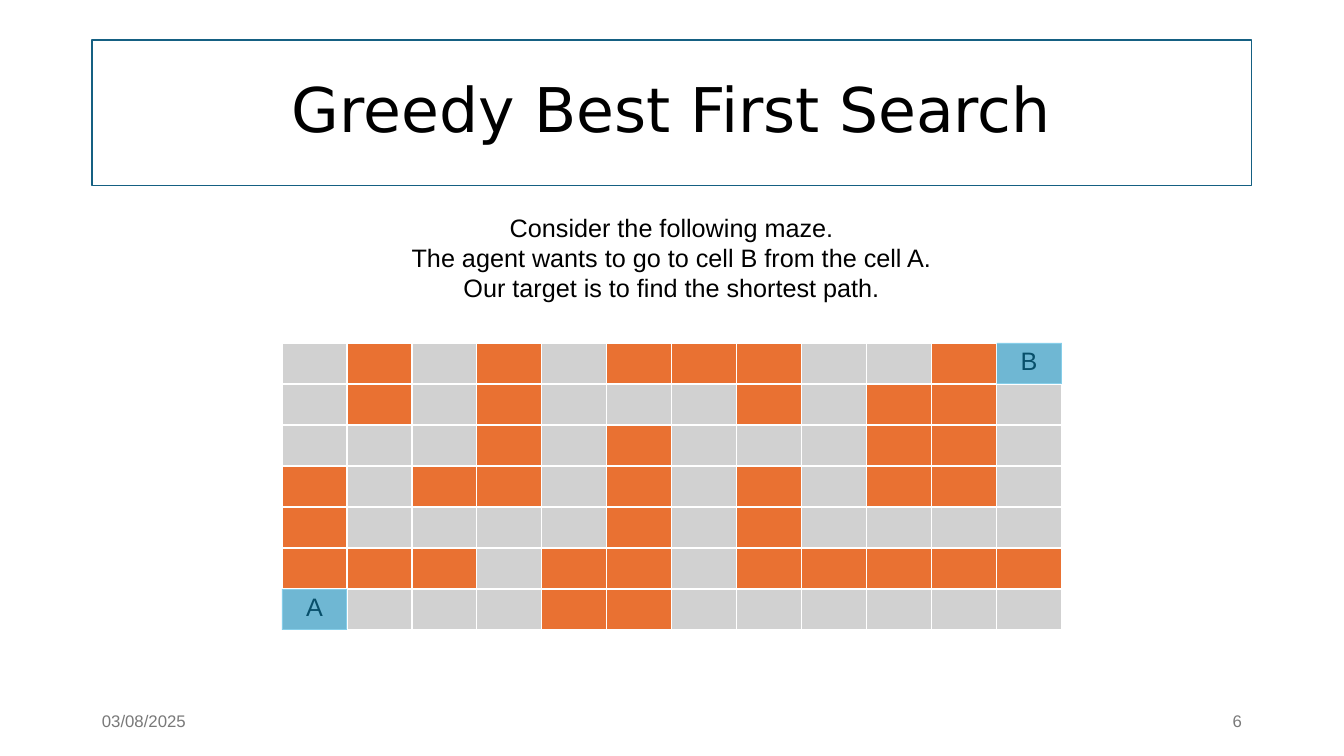
from dataclasses import dataclass

from lxml.etree import SubElement
from pptx import Presentation
from pptx.dml.color import RGBColor
from pptx.enum.shapes import MSO_SHAPE
from pptx.enum.text import MSO_ANCHOR, PP_ALIGN
from pptx.oxml import parse_xml
from pptx.oxml.ns import nsdecls, qn
from pptx.util import Emu, Pt

PX_PER_INCH = 100.8
TITLE_ONLY_LAYOUT = 5

MAZE = [
    ".#.#.###..#B",
    ".#.#...#.##.",
    "...#.#...##.",
    "#.##.#.#.##.",
    "#....#.#....",
    "###.##.#####",
    "A...##......",
]
WALL, FLOOR = "#", "."


@dataclass(frozen=True)
class Theme:
    text: str = "000000"
    muted: str = "797979"
    frame: str = "156082"
    wall: str = "E97132"
    floor: str = "D1D1D1"
    grid: str = "FFFFFF"
    endpoint: str = "0F9ED5"
    title_font: str = "DejaVu Sans"
    body_font: str = "Arial"
    title_size: int = 44
    body_size: int = 18
    footer_size: int = 12


THEME = Theme()


def px(length):
    return Emu(round(length * 914400 / PX_PER_INCH))


def px_box(box):
    return [px(length) for length in box]


def rgb(color):
    return RGBColor.from_string(color)


def write_text(text_frame, text, font=THEME.body_font, size=THEME.body_size,
               color=THEME.text, align=PP_ALIGN.CENTER,
               anchor=MSO_ANCHOR.TOP, wrap=True, line_spacing=None):
    text_frame.text = text
    text_frame.word_wrap = wrap
    text_frame.vertical_anchor = anchor
    for paragraph in text_frame.paragraphs:
        paragraph.alignment = align
        paragraph.line_spacing = line_spacing
        paragraph.font.name = font
        paragraph.font.size = Pt(size)
        paragraph.font.color.rgb = rgb(color)


def add_text(slide, box, text, **text_format):
    text_box = slide.shapes.add_textbox(*px_box(box))
    write_text(text_box.text_frame, text, **text_format)


def set_title(slide, box, text):
    title = slide.shapes.title
    title.left, title.top, title.width, title.height = px_box(box)
    title.line.color.rgb = rgb(THEME.frame)
    title.line.width = Pt(0.75)
    write_text(title.text_frame, text, font=THEME.title_font,
               size=THEME.title_size, anchor=MSO_ANCHOR.MIDDLE,
               line_spacing=0.9)


def set_cell_borders(cell, color, width):
    properties = cell._tc.get_or_add_tcPr()
    for position, side in enumerate(("lnL", "lnR", "lnT", "lnB")):
        border = parse_xml(
            f'<a:{side} {nsdecls("a")} w="{Pt(width)}"><a:solidFill>'
            f'<a:srgbClr val="{color}"/></a:solidFill></a:{side}>')
        properties.insert(position, border)


def add_endpoint_highlight(slide, box):
    highlight = slide.shapes.add_shape(MSO_SHAPE.RECTANGLE, *px_box(box))
    highlight.shadow.inherit = False
    highlight.fill.solid()
    highlight.fill.fore_color.rgb = rgb(THEME.endpoint)
    highlight.line.fill.background()
    color = highlight.element.spPr.find(f'{qn("a:solidFill")}/{qn("a:srgbClr")}')
    SubElement(color, qn("a:alpha"), val="50000")


def add_maze(slide, box):
    left, top, width, height = box
    row_count, column_count = len(MAZE), len(MAZE[0])
    cell_width, cell_height = width // column_count, height // row_count
    table = slide.shapes.add_table(row_count, column_count, *px_box(box)).table
    table.first_row = table.horz_banding = False
    for column in table.columns:
        column.width = px(cell_width)
    for row in table.rows:
        row.height = px(cell_height)

    for row_index, marks in enumerate(MAZE):
        for column_index, mark in enumerate(marks):
            cell = table.cell(row_index, column_index)
            cell.fill.solid()
            cell.fill.fore_color.rgb = rgb(
                THEME.wall if mark == WALL else THEME.floor)
            set_cell_borders(cell, THEME.grid, 1)
            if mark not in (WALL, FLOOR):
                write_text(cell.text_frame, mark)
                add_endpoint_highlight(slide, (
                    left + column_index * cell_width,
                    top + row_index * cell_height,
                    cell_width, cell_height))


def add_footer(slide, box, date, number):
    left, top, width, height = box
    part_width = 302
    for part_left, text, align in (
            (left, date, PP_ALIGN.LEFT),
            (left + width - part_width, number, PP_ALIGN.RIGHT)):
        add_text(slide, (part_left, top, part_width, height), text,
                 size=THEME.footer_size, color=THEME.muted, align=align,
                 anchor=MSO_ANCHOR.MIDDLE)


def main():
    presentation = Presentation()
    presentation.slide_width, presentation.slide_height = px(1344), px(756)
    layout = presentation.slide_layouts[TITLE_ONLY_LAYOUT]
    slide = presentation.slides.add_slide(layout)
    set_title(slide, (92, 40, 1160, 146), "Greedy Best First Search")
    add_maze(slide, (282, 343, 780, 287))
    add_footer(slide, (92, 701, 1160, 40), "03/08/2025", "6")
    add_text(slide, (399, 207, 545, 102),
             "Consider the following maze.\n"
             "The agent wants to go to cell B from the cell A.\n"
             "Our target is to find the shortest path.", wrap=False)
    presentation.save("out.pptx")


if __name__ == "__main__":
    main()
